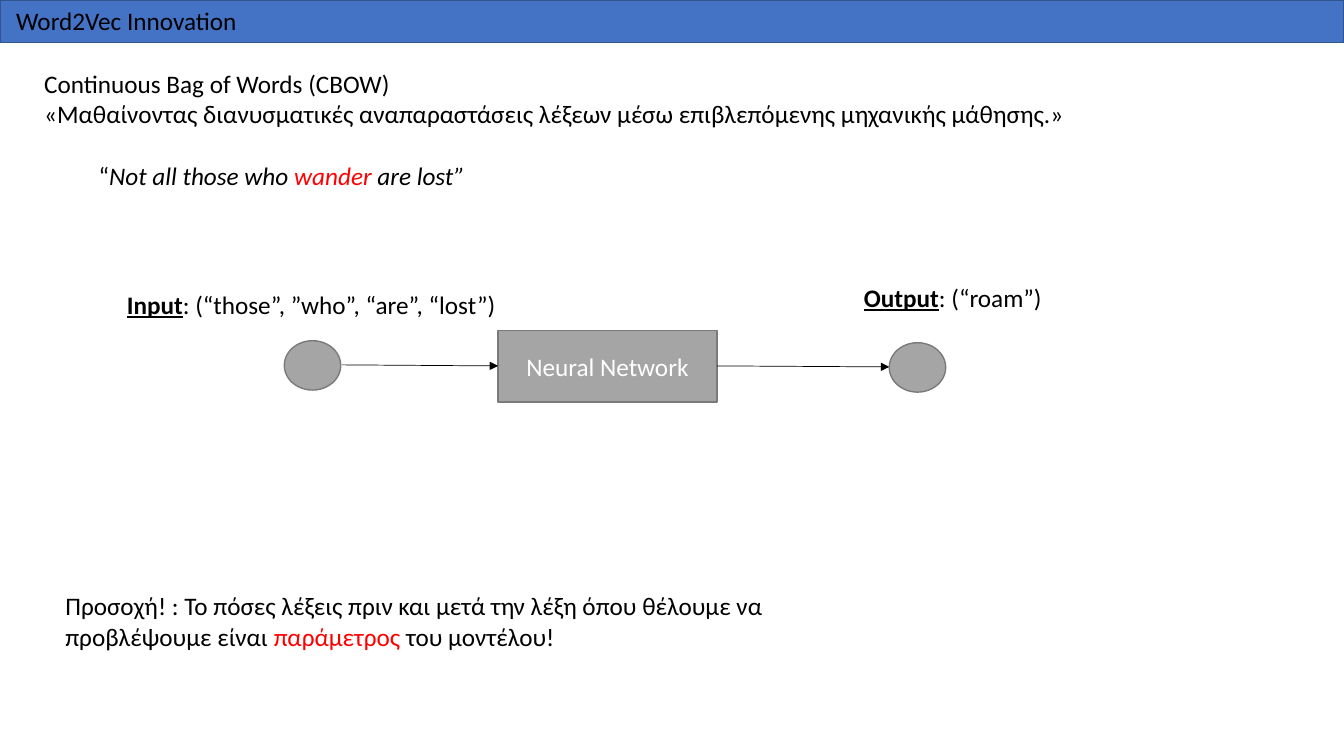
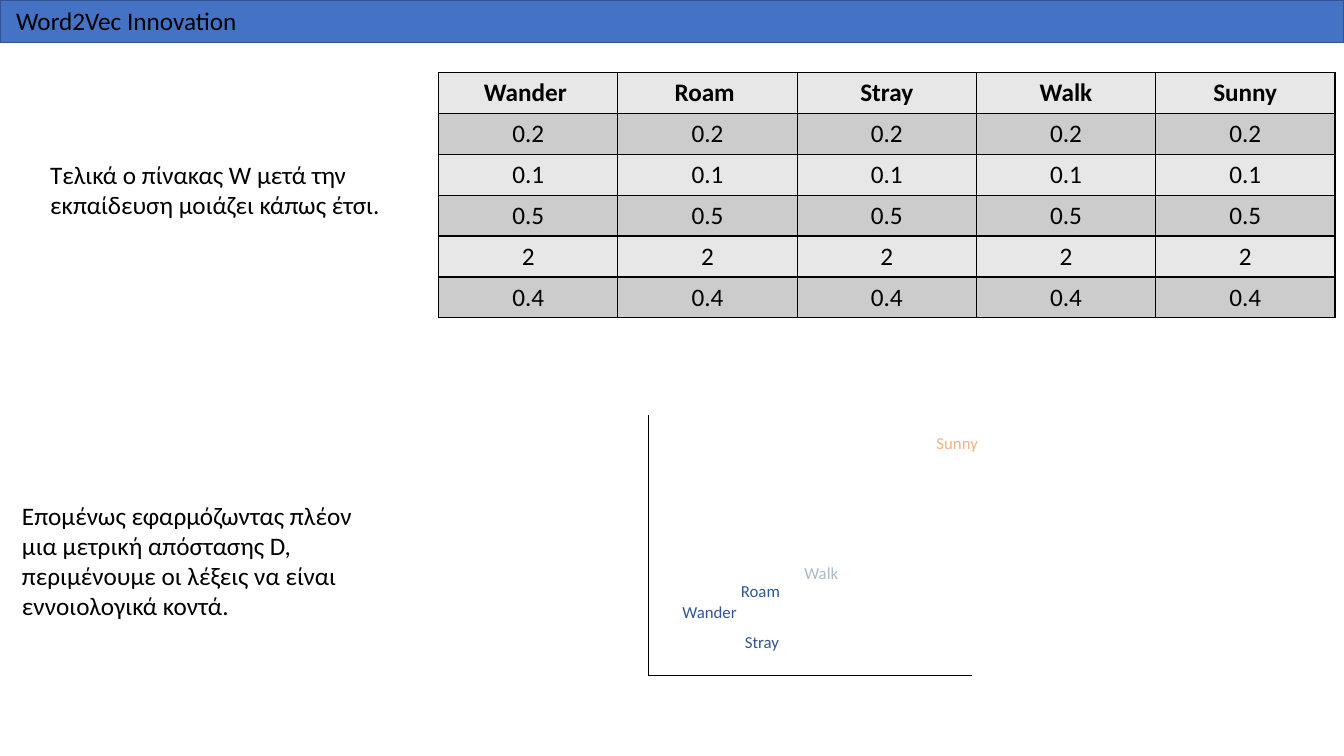
from lxml import etree
from pptx import Presentation
from pptx.dml.color import RGBColor
from pptx.enum.shapes import MSO_CONNECTOR, MSO_SHAPE
from pptx.enum.text import MSO_ANCHOR, MSO_AUTO_SIZE, PP_ALIGN
from pptx.oxml import parse_xml
from pptx.oxml.ns import nsdecls, qn
from pptx.util import Inches, Pt

RECT, OVAL = MSO_SHAPE.RECTANGLE, MSO_SHAPE.OVAL
STRAIGHT = MSO_CONNECTOR.STRAIGHT
LEFT, CENTER = PP_ALIGN.LEFT, PP_ALIGN.CENTER
TOP, MIDDLE = MSO_ANCHOR.TOP, MSO_ANCHOR.MIDDLE
GROW, FIXED = MSO_AUTO_SIZE.SHAPE_TO_FIT_TEXT, MSO_AUTO_SIZE.NONE

FONT = "Calibri"
BLACK = RGBColor(0x00, 0x00, 0x00)
WHITE = RGBColor(0xFF, 0xFF, 0xFF)
RED = RGBColor(0xFF, 0x00, 0x00)
BLUE = RGBColor(0x44, 0x72, 0xC4)
EDGE = RGBColor(0x32, 0x54, 0x91)
GRAY = RGBColor(0xA5, 0xA5, 0xA5)
RIM = RGBColor(0x7A, 0x7A, 0x7A)
PALE = RGBColor(0xE7, 0xE7, 0xE7)
DARK = RGBColor(0xCC, 0xCC, 0xCC)
NAVY = RGBColor(0x2F, 0x55, 0x97)
MIST = RGBColor(0xAD, 0xB9, 0xCA)
PEACH = RGBColor(0xF4, 0xB1, 0x83)

WIDE = 13.33
TITLE_LAYOUT = 5
TITLE = "Word2Vec Innovation"


def write(frame, *paras, size=18, color=BLACK, align=LEFT, bold=False):
    """Fill a frame; a paragraph is a string or a list of (text, format)."""
    for i, runs in enumerate(paras):
        para = frame.paragraphs[0] if i == 0 else frame.add_paragraph()
        para.alignment = align
        for text, fmt in [(runs, {})] if isinstance(runs, str) else runs:
            run = para.add_run()
            run.text = text
            font = run.font
            font.name, font.size = FONT, Pt(size)
            font.bold = fmt.get("bold", bold)
            font.italic = fmt.get("italic", False)
            font.underline = fmt.get("under", False)
            font.color.rgb = fmt.get("color", color)


def add_text(slide, box, *paras, **fmt):
    """Add a wrapping text box that grows with its text."""
    frame = slide.shapes.add_textbox(*map(Inches, box)).text_frame
    frame.word_wrap = True
    frame.auto_size = GROW
    write(frame, *paras, **fmt)


def add_block(slide, kind, box, fill=GRAY, line=RIM):
    """Add a flat outlined shape."""
    shape = slide.shapes.add_shape(kind, *map(Inches, box))
    shape.shadow.inherit = False
    shape.fill.solid()
    shape.fill.fore_color.rgb = fill
    shape.line.color.rgb = line
    shape.line.width = Pt(1)
    return shape


def add_line(slide, start, end, arrow=False):
    """Add a thin black line, with an arrowhead at its end if asked."""
    link = slide.shapes.add_connector(STRAIGHT, *map(Inches, start + end))
    link.line.color.rgb = BLACK
    link.line.width = Pt(0.5)
    props = link.element.spPr
    if arrow:
        edge = props.find(qn("a:ln"))
        etree.SubElement(edge, qn("a:tailEnd"), type="triangle")
    etree.SubElement(props, qn("a:effectLst"))


def add_border(cell):
    """Draw black borders on all sides of a cell."""
    props = cell._tc.get_or_add_tcPr()
    for i, side in enumerate("LRTB"):
        props.insert(i, parse_xml(
            f'<a:ln{side} {nsdecls("a")} w="12700"><a:solidFill>'
            f'<a:srgbClr val="{BLACK}"/></a:solidFill></a:ln{side}>'))


def add_grid(slide, box, rows):
    """Add a bordered table with a bold head and alternating fills."""
    place = map(Inches, box)
    table = slide.shapes.add_table(len(rows), len(rows[0]), *place).table
    for r, row in enumerate(rows):
        for c, text in enumerate(row):
            cell = table.cell(r, c)
            cell.fill.solid()
            cell.fill.fore_color.rgb = DARK if r % 2 else PALE
            add_border(cell)
            write(cell.text_frame, text, align=CENTER, bold=r == 0)


def add_slide(deck):
    """Add a slide with the blue band behind its title."""
    slide = deck.slides.add_slide(deck.slide_layouts[TITLE_LAYOUT])
    title = slide.shapes.title
    band = add_block(slide, RECT, (0, 0, WIDE, 0.42), BLUE, EDGE)
    title.element.addprevious(band.element)
    title.left, title.top = Inches(0.06), Inches(0)
    title.width, title.height = Inches(5.33), Inches(0.4)
    frame = title.text_frame
    frame.auto_size = FIXED
    frame.vertical_anchor = TOP
    write(frame, TITLE)
    return slide


def build_model(deck):
    """Show how CBOW predicts a word from its neighbours."""
    slide = add_slide(deck)
    add_text(slide, (0.34, 0.63, 10.98, 0.71),
             "Continuous Bag of Words (CBOW)",
             "«Μαθαίνοντας διανυσματικές αναπαραστάσεις λέξεων μέσω "
             "επιβλεπόμενης μηχανικής μάθησης.»")
    slant = {"italic": True}
    add_text(slide, (0.88, 1.54, 4.27, 0.4),
             [("“", {}), ("Not all those who ", slant),
              ("wander", {"italic": True, "color": RED}),
              (" are lost”", slant)])

    net = add_block(slide, RECT, (4.94, 3.28, 2.17, 0.71))
    net.text_frame.vertical_anchor = MIDDLE
    write(net.text_frame, "Neural Network", color=WHITE, align=CENTER)
    for left, top in ((2.82, 3.38), (8.82, 3.4)):
        add_block(slide, OVAL, (left, top, 0.56, 0.49))
    add_line(slide, (3.39, 3.62), (4.94, 3.63), arrow=True)
    add_line(slide, (7.11, 3.63), (8.82, 3.64), arrow=True)

    head = {"bold": True, "under": True}
    add_text(slide, (1.16, 2.82, 3.89, 0.4),
             [("Input", head), (": (“those”, ”who”, “are”, “lost”)", {})])
    add_text(slide, (8.47, 2.75, 2.03, 0.4),
             [("Output", head), (": (“roam”)", {})])
    add_text(slide, (0.55, 5.81, 8.5, 0.71),
             [("Προσοχή! : Το πόσες λέξεις πριν και μετά την λέξη όπου "
               "θέλουμε να προβλέψουμε είναι ", {}),
              ("παράμετρος ", {"color": RED}), ("του μοντέλου!", {})])


def build_space(deck):
    """Show the trained matrix and the words as points in a plane."""
    slide = add_slide(deck)
    words = ["Wander ", "Roam ", "Stray", "Walk", "Sunny"]
    values = ["0.2", "0.1", "0.5", "2", "0.4"]
    rows = [words] + [[value] * len(words) for value in values]
    add_grid(slide, (4.35, 0.72, 8.89, 2.43), rows)
    add_text(slide, (0.4, 1.53, 3.53, 0.71),
             "Τελικά ο πίνακας W μετά την εκπαίδευση μοιάζει κάπως έτσι. ")
    add_text(slide, (0.12, 4.91, 3.53, 1.31),
             "Επομένως εφαρμόζωντας πλέον μια μετρική απόστασης D, "
             "περιμένουμε οι λέξεις να είναι εννοιολογικά κοντά. ")

    zero = (6.43, 6.7)
    add_line(slide, (6.43, 4.12), zero)
    add_line(slide, (9.64, 6.7), zero)
    points = (("Wander", 6.67, 5.92, 0.78, NAVY),
              ("Stray", 7.29, 6.22, 0.63, NAVY),
              ("Roam", 7.25, 5.71, 0.63, NAVY),
              ("Walk", 7.88, 5.53, 0.63, MIST),
              ("Sunny", 9.19, 4.24, 0.63, PEACH))
    for word, left, top, width, color in points:
        add_text(slide, (left, top, width, 0.3), word, size=12, color=color)


def main():
    """Build and save the deck."""
    deck = Presentation()
    deck.slide_width, deck.slide_height = Inches(WIDE), Inches(7.5)
    build_model(deck)
    build_space(deck)
    deck.save("out.pptx")


main()
